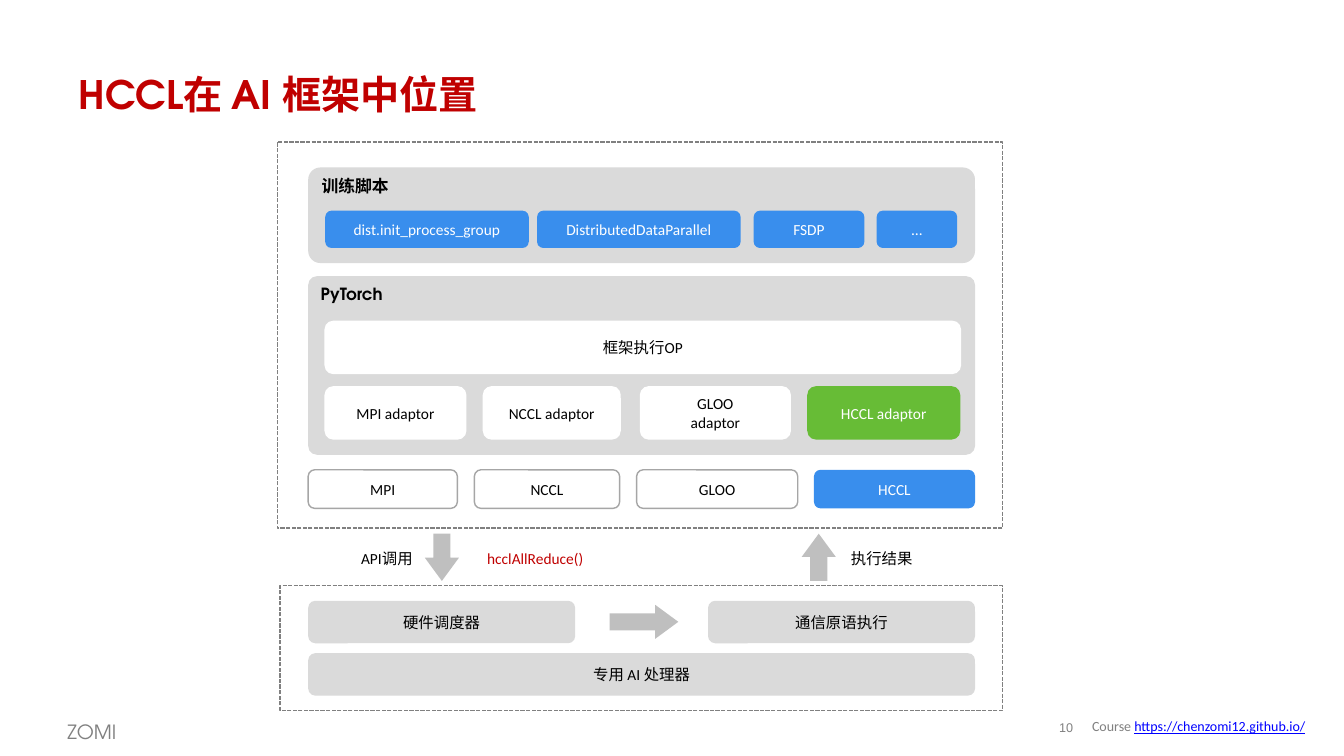
from pptx import Presentation
from pptx.dml.color import RGBColor
from pptx.enum.dml import MSO_LINE
from pptx.enum.shapes import MSO_SHAPE
from pptx.enum.text import MSO_ANCHOR, PP_ALIGN
from pptx.util import Cm, Pt

BLACK, WHITE, RED = "000000", "FFFFFF", "C00000"
BLUE, GREEN, PANEL, ARROW = "398EED", "67BC36", "DADADA", "BFBFBF"
FOOTER, OUTLINE = "808080", "A6A6A6"
HEADING_FONT, BODY_FONT = "TeX Gyre Adventor", "Calibri"

TITLE = "HCCL在 AI 框架中位置"
STACK_LEFT, STACK_WIDTH = 7.77, 16.81

# left, top, width, height in centimetres
FRAMES = [(6.99, 3.58, 18.29, 9.73), (7.06, 14.76, 18.21, 3.15)]

# text, font, top, height, corner rounding
PANELS = [
    ("训练脚本", BODY_FONT, 4.22, 2.41, 0.127),
    ("PyTorch", HEADING_FONT, 6.96, 4.5, 0.049),
]

# box style: fill, line, text colour
STYLES = {
    "blue": (BLUE, None, WHITE),
    "green": (GREEN, None, WHITE),
    "white": (WHITE, None, BLACK),
    "grey": (PANEL, None, BLACK),
    "outline": (None, OUTLINE, BLACK),
}

# row: top, height, boxes as (text, left, width, style)
ROWS = [
    (5.31, 0.94, [
        ("dist.init_process_group", 8.2, 5.13, "blue"),
        ("DistributedDataParallel", 13.54, 5.13, "blue"),
        ("FSDP", 19, 2.79, "blue"),
        ("…", 22.1, 2.03, "blue"),
    ]),
    (8.08, 1.35, [("框架执行OP", 8.18, 16.05, "white")]),
    (9.73, 1.35, [
        ("MPI adaptor", 8.18, 3.58, "white"),
        ("NCCL adaptor", 12.17, 3.48, "white"),
        ("GLOO\nadaptor", 16.13, 3.81, "white"),
        ("HCCL adaptor", 20.35, 3.86, "green"),
    ]),
    (11.84, 0.97, [
        ("MPI", 7.77, 3.76, "outline"),
        ("NCCL", 11.96, 3.66, "outline"),
        ("GLOO", 16.05, 4.06, "outline"),
        ("HCCL", 20.52, 4.06, "blue"),
    ]),
    (15.14, 1.07, [
        ("硬件调度器", 7.77, 6.73, "grey"),
        ("通信原语执行", 17.85, 6.73, "grey"),
    ]),
    (16.46, 1.07, [("专用 AI 处理器", STACK_LEFT, STACK_WIDTH, "grey")]),
]

# text, left, width, colour
CALL_LABELS = [
    ("API调用", 8.74, 2.03, BLACK),
    ("hcclAllReduce()", 11.73, 3.53, RED),
    ("执行结果", 21.06, 2.34, BLACK),
]

ARROWS = [
    (MSO_SHAPE.DOWN_ARROW, (10.71, 13.45, 0.86, 1.19)),
    (MSO_SHAPE.UP_ARROW, (20.21, 13.45, 0.86, 1.19)),
    (MSO_SHAPE.RIGHT_ARROW, (15.37, 15.24, 1.73, 0.86)),
]


def color(value):
    return RGBColor.from_string(value)


def write(paragraph, text, size=11, font=BODY_FONT, fill=BLACK, bold=False,
          underline=False, align=PP_ALIGN.CENTER):
    """Append one formatted run to the paragraph."""
    paragraph.alignment = align
    run = paragraph.add_run()
    run.text = text
    run.font.size = Pt(size)
    run.font.name = font
    run.font.color.rgb = color(fill)
    run.font.bold = bold
    run.font.underline = underline


def fill_text(shape, text, anchor=MSO_ANCHOR.MIDDLE, **text_format):
    """Write one paragraph for each line of text."""
    frame = shape.text_frame
    frame.word_wrap = True
    frame.vertical_anchor = anchor
    for index, line in enumerate(text.split("\n")):
        paragraph = frame.add_paragraph() if index else frame.paragraphs[0]
        write(paragraph, line, **text_format)


def add_box(slide, kind, place, fill=None, line=None):
    shape = slide.shapes.add_shape(kind, *map(Cm, place))
    shape.shadow.inherit = False
    if fill:
        shape.fill.solid()
        shape.fill.fore_color.rgb = color(fill)
    else:
        shape.fill.background()
    if line:
        shape.line.color.rgb = color(line)
        shape.line.width = Pt(1)
    else:
        shape.line.fill.background()
    return shape


def add_text(slide, place, text, **text_format):
    box = slide.shapes.add_textbox(*map(Cm, place))
    fill_text(box, text, **text_format)
    return box


def add_title(slide):
    title = slide.shapes.title
    title.left, title.top, title.width, title.height = map(
        Cm, (1.73, 1.55, 30.45, 1.63))
    fill_text(title, TITLE, size=28, font=HEADING_FONT, fill=RED, bold=True,
              align=PP_ALIGN.LEFT)


def add_diagram(slide):
    for place in FRAMES:
        frame = add_box(slide, MSO_SHAPE.RECTANGLE, place, line=FOOTER)
        frame.line.dash_style = MSO_LINE.SQUARE_DOT

    for text, font, top, height, rounding in PANELS:
        place = (STACK_LEFT, top, STACK_WIDTH, height)
        panel = add_box(slide, MSO_SHAPE.ROUNDED_RECTANGLE, place, PANEL)
        panel.adjustments[0] = rounding
        fill_text(panel, text, anchor=MSO_ANCHOR.TOP, size=12, font=font,
                  bold=True, align=PP_ALIGN.LEFT)

    for top, height, boxes in ROWS:
        for text, left, width, style in boxes:
            fill, line, text_color = STYLES[style]
            box = add_box(slide, MSO_SHAPE.ROUNDED_RECTANGLE,
                          (left, top, width, height), fill, line)
            fill_text(box, text, fill=text_color)

    for text, left, width, text_color in CALL_LABELS:
        add_text(slide, (left, 13.67, width, 0.79), text, fill=text_color)

    for kind, place in ARROWS:
        arrow = add_box(slide, kind, place, ARROW)
        arrow.adjustments[0] = 0.5
        arrow.adjustments[1] = 0.68


def add_footer(slide):
    name = add_text(slide, (1.45, 17.91, 2.03, 0.91), "ZOMI", size=14,
                    font=HEADING_FONT, fill=FOOTER, align=PP_ALIGN.LEFT,
                    anchor=MSO_ANCHOR.TOP)
    name.text_frame.paragraphs[0].line_spacing = 1.2
    add_text(slide, (26.42, 17.93, 0.91, 0.79), "10", size=9, font="Arial",
             fill=FOOTER).text_frame.word_wrap = False
    course = add_text(slide, (27.28, 17.93, 6.25, 0.74), "Course ", size=10,
                      fill=FOOTER, align=PP_ALIGN.LEFT)
    write(course.text_frame.paragraphs[0], "https://chenzomi12.github.io/",
          size=10, fill="0000FF", underline=True, align=PP_ALIGN.LEFT)


def main():
    presentation = Presentation()
    presentation.slide_width = Cm(33.88)
    presentation.slide_height = Cm(19.05)
    slide = presentation.slides.add_slide(presentation.slide_layouts[5])
    add_title(slide)
    add_diagram(slide)
    add_footer(slide)
    presentation.save("out.pptx")


if __name__ == "__main__":
    main()
